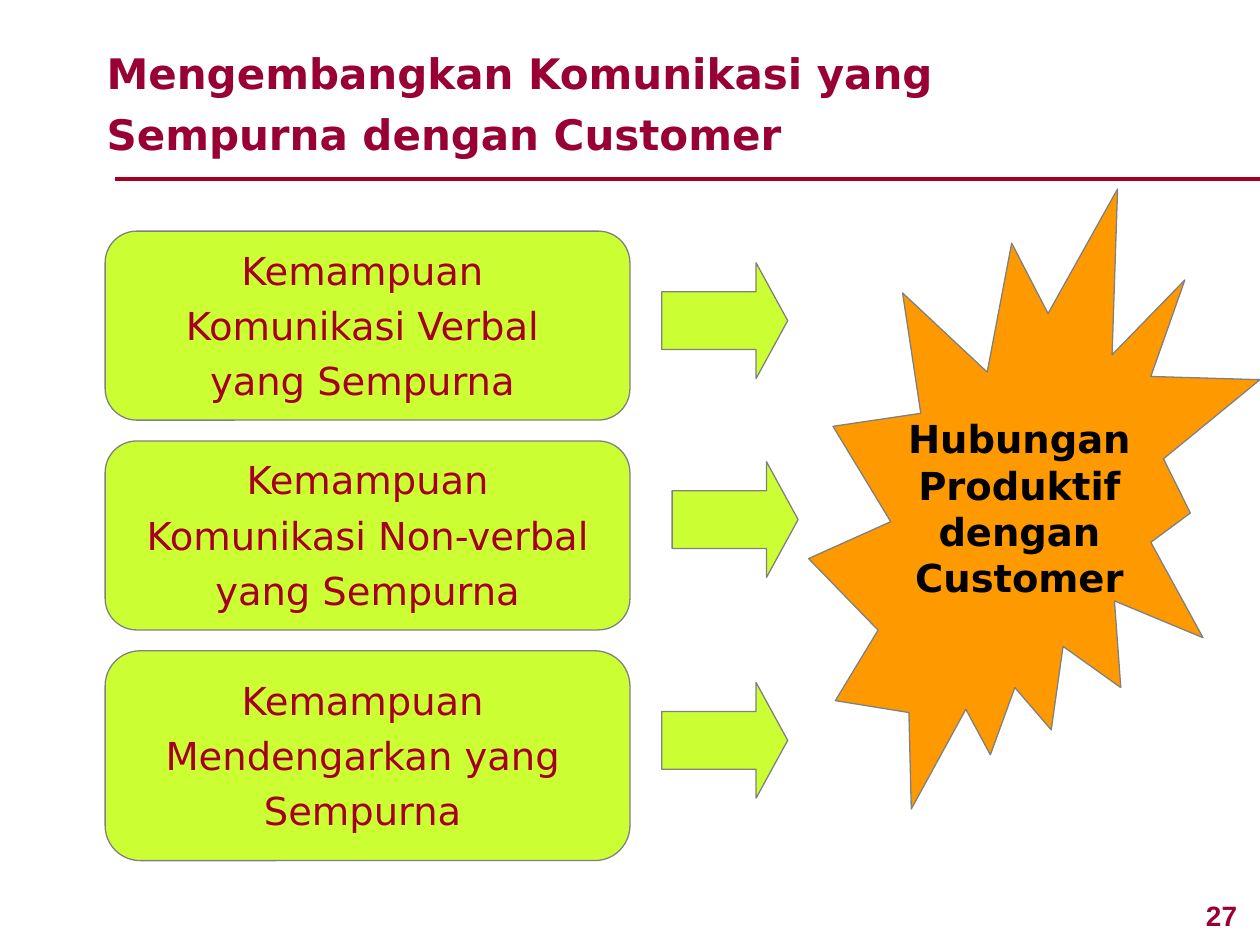
from lxml import etree
from pptx import Presentation
from pptx.dml.color import RGBColor
from pptx.enum.shapes import MSO_CONNECTOR, MSO_SHAPE
from pptx.enum.text import PP_ALIGN
from pptx.oxml.ns import qn
from pptx.util import Cm, Pt

ROUND = MSO_SHAPE.ROUNDED_RECTANGLE
ARROW = MSO_SHAPE.RIGHT_ARROW
BURST = MSO_SHAPE.EXPLOSION2
STRAIGHT = MSO_CONNECTOR.STRAIGHT
LEFT, CENTER = PP_ALIGN.LEFT, PP_ALIGN.CENTER

COLORS = {"title": "990033", "rule": "A50021", "skill": "A50021", "lime": "CCFF33",
          "orange": "FF9900", "edge": "808080", "black": "000000"}
TITLE = {"name": "DejaVu Sans", "size": Pt(24), "bold": True}
SKILL = {"name": "DejaVu Sans", "size": Pt(22), "bold": False}
GOAL = {"name": "DejaVu Sans", "size": Pt(22), "bold": True}
NUMBER = {"name": "Arial", "size": Pt(16), "bold": True}

# Top and height of the box, text box and arrow placed relative to it
SKILLS = [
    ("Kemampuan Komunikasi Verbal yang Sempurna",
     4.66, 3.81, (0.42, 0, 9.53, 3.6), (11.22, 0.64)),
    ("Kemampuan Komunikasi Non-verbal yang Sempurna",
     8.89, 3.81, (0.42, 0, 9.74, 3.6), (11.43, 0.42)),
    ("Kemampuan Mendengarkan yang Sempurna",
     13.12, 4.23, (-0.21, 0.21, 10.8, 3.6), (11.22, 0.64)),
]


def color(key):
    return RGBColor.from_string(COLORS[key])


def lengths(box):
    return [Cm(v) for v in box]


def add_shape(slide, kind, box, fill, adjust=()):
    shape = slide.shapes.add_shape(kind, *lengths(box))
    shape.shadow.inherit = False
    shape.fill.solid()
    shape.fill.fore_color.rgb = color(fill)
    shape.line.color.rgb = color(edge := "edge")
    shape.line.width = Pt(0.75)
    for i, value in enumerate(adjust):
        shape.adjustments[i] = value


def add_text(slide, box, words, style, ink, align=CENTER, spacing=1.0):
    frame = slide.shapes.add_textbox(*lengths(box)).text_frame
    frame.word_wrap = True
    para = frame.paragraphs[0]
    para.alignment = align
    para.line_spacing = spacing
    run = para.add_run()
    run.text = words
    for key, value in style.items():
        setattr(run.font, key, value)
    run.font.color.rgb = color(ink)


def add_header(slide, left, top, width, height):
    """Title with a rule below it that runs to the right edge of the slide."""
    add_text(slide, (left, top, 20.53, 2.69),
             "Mengembangkan Komunikasi yang Sempurna dengan Customer",
             TITLE, "title", LEFT, 1.2)
    base = top + height
    rule = slide.shapes.add_connector(
        STRAIGHT, *lengths((left + 0.42, base, left + width, base)))
    rule.line.color.rgb = color("rule")
    rule.line.width = Pt(2.25)
    etree.SubElement(rule._element.spPr, qn("a:effectLst"))


def add_skill(slide, left, top, width, height, words, label, arrow):
    """Rounded box with its label, and the arrow to its right."""
    add_shape(slide, ROUND, (left, top, width, height), "lime", [0.167])
    add_text(slide, (left + label[0], top + label[1], *label[2:]),
             words, SKILL, "skill", spacing=1.2)
    add_shape(slide, ARROW, (left + arrow[0], top + arrow[1], 2.54, 2.33),
              "lime", [0.5, 0.273])


def add_goal(slide, left, top, width, height):
    add_shape(slide, BURST, (left, top, width, height), "orange")
    add_text(slide, (left + 0.85, top + 4.44, 6.8, 4),
             "Hubungan Produktif dengan Customer", GOAL, "black")


def main():
    deck = Presentation()
    deck.slide_width, deck.slide_height = Cm(25.4), Cm(19.05)
    slide = deck.slides.add_slide(deck.slide_layouts[6])
    add_header(slide, 1.9, 0.64, 23.5, 2.96)
    add_goal(slide, 16.3, 3.81, 9.1, 12.5)
    for words, top, height, label, arrow in SKILLS:
        add_skill(slide, 2.12, top, 10.58, height, words, label, arrow)
    add_text(slide, (23.85, 17.98, 1.55, 0.94), "27", NUMBER, "title")
    deck.save("out.pptx")


if __name__ == "__main__":
    main()
